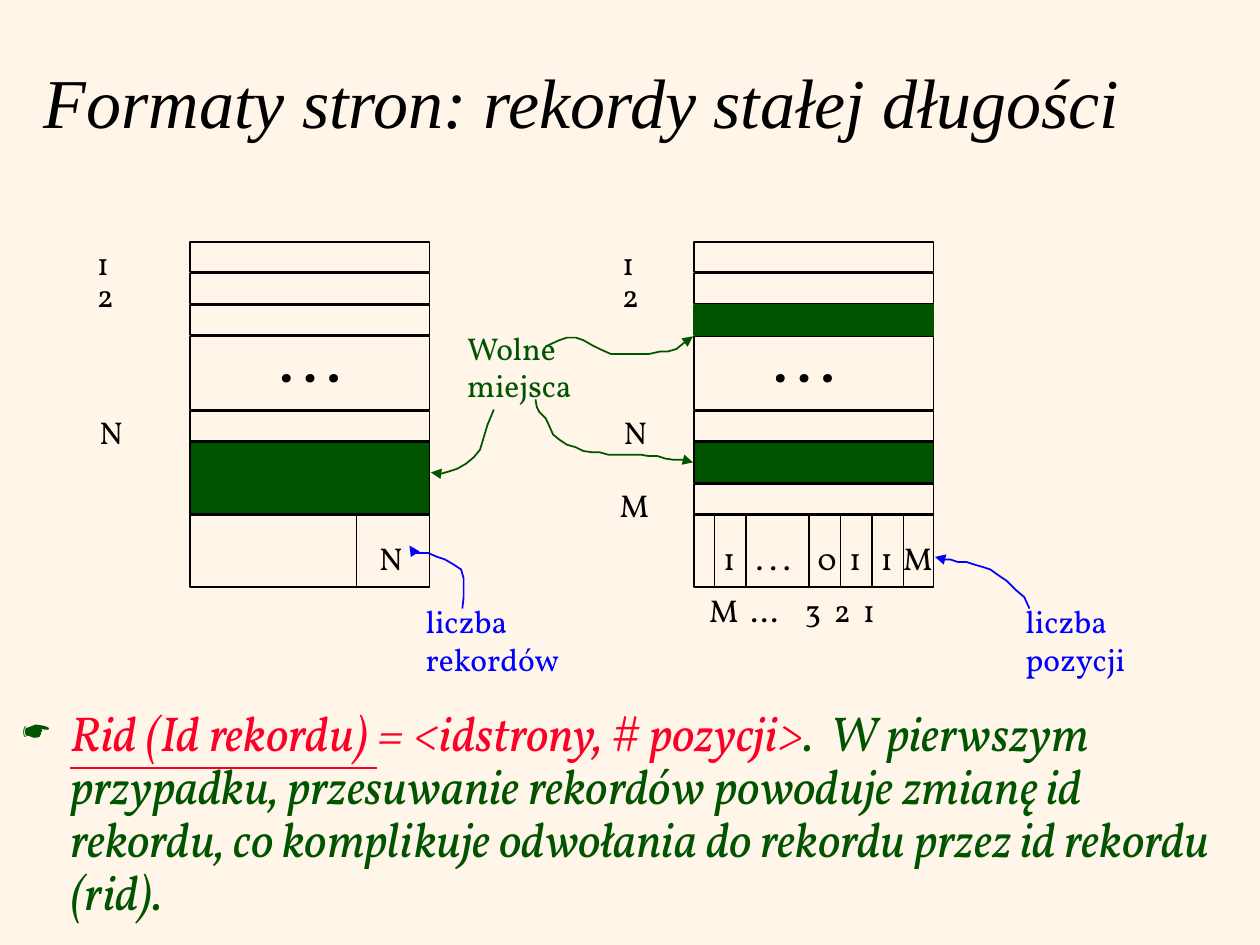
from lxml.etree import SubElement
from pptx import Presentation
from pptx.dml.color import RGBColor
from pptx.enum.shapes import MSO_CONNECTOR, MSO_SHAPE
from pptx.enum.text import MSO_ANCHOR, MSO_AUTO_SIZE
from pptx.oxml.ns import qn
from pptx.util import Inches, Pt

BLACK, GREEN, BLUE, RED, CREAM = "000000", "005400", "0000FF", "FC0128", "FFF6E9"
LABEL = {"size": Pt(18), "name": "Vollkorn"}
DOTS = {"size": Pt(28), "name": "Vollkorn", "bold": True}
TITLE = {"size": Pt(40), "name": "Times New Roman", "italic": True}
BODY = {"size": Pt(28), "name": "Vollkorn", "italic": True}

TITLE_TEXT = "Formaty stron: rekordy stałej długości"
BODY_SPANS = [
    ("Rid (Id rekordu) ", RED, True),
    ("= <idstrony, # pozycji>", RED, False),
    (".  W pierwszym przypadku, przesuwanie rekordów powoduje zmianę id rekordu, "
     "co komplikuje odwołania do rekordu przez id rekordu (rid).", GREEN, False),
]

PAGE_TOP, PAGE_WIDTH, ROW_GAP = 1.92, 1.9, 0.01
SLOT, TALL = 0.24, 0.57
UPPER_ROWS = [(SLOT, None, BLACK), (SLOT, None, BLACK)]
PACKED_ROWS = UPPER_ROWS + [
    (SLOT, None, BLACK), (0.58, None, BLACK), (SLOT, None, BLACK),
    (TALL, GREEN, BLACK), (TALL, None, BLACK)]
BITMAP_ROWS = UPPER_ROWS + [
    (SLOT, GREEN, GREEN), (0.58, None, BLACK), (SLOT, None, BLACK),
    (0.32, GREEN, BLACK), (SLOT, None, BLACK), (TALL, None, BLACK)]
PAGES = [
    (1.51, PACKED_ROWS, [2.83]),
    (5.51, BITMAP_ROWS, [5.67, 5.92, 6.42, 6.67, 6.92, 7.17]),
]
DIVIDER_TOP, DIVIDER_BOTTOM = 4.08, 4.67

LABEL_ROWS = {
    1.89: [("1", 0.67, 0.34), ("1", 4.84, 0.34)],
    2.14: [("2", 0.67, 0.34), ("2", 4.84, 0.34)],
    3.23: [("N", 0.69, 0.39), ("N", 4.85, 0.39)],
    3.81: [("M", 4.82, 0.43)],
    4.23: [("N", 2.91, 0.39), ("1", 5.64, 0.34), (". . .", 5.9, 0.52), ("0", 6.39, 0.34),
           ("1", 6.64, 0.34), ("1", 6.89, 0.34), ("M", 7.07, 0.43)],
}
SLOT_NUMBERS = ["M", "...", "3", "2", "1"]
SLOT_TABS = [0.33, 0.76, 0.99, 1.22]
CALLOUTS = [
    (["Wolne", "miejsca"], GREEN, 3.61, 2.56, 1.1),
    (["liczba", "rekordów"], BLUE, 3.28, 4.73, 1.37),
    (["liczba", "pozycji"], BLUE, 8.04, 4.73, 1.04),
]
ARROWS = [
    (GREEN, [(4.33, 2.75), (4.44, 2.7), (4.5, 2.68), (4.57, 2.68), (4.63, 2.7), (4.7, 2.74),
             (4.76, 2.77), (4.85, 2.81), (5.15, 2.81), (5.24, 2.79), (5.3, 2.79),
             (5.37, 2.77), (5.43, 2.72), (5.5, 2.68), (5.5, 2.67)]),
    (GREEN, [(4.25, 3.17), (4.26, 3.23), (4.28, 3.27), (4.33, 3.32), (4.35, 3.36),
             (4.39, 3.45), (4.44, 3.49), (4.5, 3.53), (4.57, 3.55), (4.63, 3.58),
             (4.7, 3.59), (4.76, 3.59), (4.83, 3.61), (5.09, 3.61), (5.15, 3.62),
             (5.22, 3.62), (5.28, 3.64), (5.35, 3.65), (5.48, 3.65), (5.5, 3.67)]),
    (GREEN, [(3.92, 3.25), (3.87, 3.37), (3.81, 3.57), (3.76, 3.63), (3.7, 3.68),
             (3.63, 3.72), (3.57, 3.74), (3.5, 3.76), (3.44, 3.76), (3.42, 3.75)]),
    (BLUE, [(3.67, 4.83), (3.68, 4.74), (3.68, 4.59), (3.66, 4.52), (3.6, 4.48),
            (3.53, 4.44), (3.47, 4.42), (3.4, 4.39), (3.27, 4.39), (3.25, 4.33)]),
    (BLUE, [(8.17, 4.83), (8.13, 4.74), (8.06, 4.68), (7.99, 4.61), (7.93, 4.57),
            (7.86, 4.52), (7.8, 4.5), (7.73, 4.48), (7.67, 4.46), (7.6, 4.46),
            (7.54, 4.44), (7.47, 4.44), (7.42, 4.42)]),
]


def color(value):
    return RGBColor.from_string(value)


def paint(shape, fill, line):
    shape.shadow.inherit = False
    if fill:
        shape.fill.solid()
        shape.fill.fore_color.rgb = color(fill)
    else:
        shape.fill.background()
    shape.line.color.rgb = color(line)
    shape.line.width = Pt(1)


def add_span(para, text, style, shade, **extra):
    span = para.add_run()
    span.text = text
    for key, value in {**style, **extra}.items():
        setattr(span.font, key, value)
    span.font.color.rgb = color(shade)


def add_box(page, left, top, width, height, wrap=True):
    box = page.shapes.add_textbox(*map(Inches, (left, top, width, height)))
    box.text_frame.word_wrap = wrap
    if not wrap:
        box.text_frame.auto_size = MSO_AUTO_SIZE.SHAPE_TO_FIT_TEXT
    return box.text_frame


def add_label(page, lines, left, top, width, height=0.4, style=LABEL, shade=BLACK):
    frame = add_box(page, left, top, width, height, wrap=False)
    for index, text in enumerate(lines):
        para = frame.add_paragraph() if index else frame.paragraphs[0]
        add_span(para, text, style, shade)
    return frame


def add_page_diagram(page, left, rows, dividers):
    top = PAGE_TOP
    for height, fill, line in rows:
        row = page.shapes.add_shape(
            MSO_SHAPE.RECTANGLE, *map(Inches, (left, top, PAGE_WIDTH, height)))
        paint(row, fill, line)
        top += height + ROW_GAP
    for x in dividers:
        divider = page.shapes.add_connector(
            MSO_CONNECTOR.STRAIGHT, *map(Inches, (x, DIVIDER_TOP, x, DIVIDER_BOTTOM)))
        divider.line.color.rgb = color(BLACK)
        divider.line.width = Pt(1)
        SubElement(divider._element.spPr, qn("a:effectLst"))


def add_arrow(page, shade, points):
    start, *bends = [(Inches(x), Inches(y)) for x, y in points]
    builder = page.shapes.build_freeform(*start)
    builder.add_line_segments(bends, close=False)
    arrow = builder.convert_to_shape()
    paint(arrow, None, shade)
    SubElement(arrow.line._get_or_add_ln(), qn("a:tailEnd"), type="triangle")


def add_body(page):
    para = add_box(page, 0.08, 5.58, 9.75, 1.83).paragraphs[0]
    para.line_spacing = 0.9
    para.space_before = Pt(7)
    for text, shade, underline in BODY_SPANS:
        add_span(para, text, BODY, shade, underline=underline)
    props = para._p.get_or_add_pPr()
    props.set("marL", str(Inches(0.38)))
    props.set("indent", str(Inches(-0.38)))
    SubElement(SubElement(props, qn("a:buClr")), qn("a:srgbClr"), val=GREEN)
    SubElement(props, qn("a:buSzPct"), val="75000")
    SubElement(props, qn("a:buChar"), char="☛")


def add_slot_numbers(page):
    frame = add_label(page, ["\t".join(SLOT_NUMBERS)], 5.53, 4.64, 1.69)
    tabs = SubElement(frame.paragraphs[0]._p.get_or_add_pPr(), qn("a:tabLst"))
    for stop in SLOT_TABS:
        SubElement(tabs, qn("a:tab"), pos=str(Inches(stop)), algn="l")


def main():
    deck = Presentation()
    deck.slide_width, deck.slide_height = Inches(10), Inches(7.5)
    page = deck.slides.add_slide(deck.slide_layouts[6])
    page.background.fill.solid()
    page.background.fill.fore_color.rgb = color(CREAM)

    title = add_box(page, 0.25, 0.17, 9, 1.25)
    title.vertical_anchor = MSO_ANCHOR.MIDDLE
    add_span(title.paragraphs[0], TITLE_TEXT, TITLE, BLACK)
    add_body(page)

    for left, rows, dividers in PAGES:
        add_page_diagram(page, left, rows, dividers)
    for top, labels in LABEL_ROWS.items():
        for text, left, width in labels:
            add_label(page, [text], left, top, width)
    for left in (2.12, 6.04):
        add_label(page, [". . ."], left, 2.6, 0.74, 0.56, DOTS)
    add_slot_numbers(page)
    for lines, shade, left, top, width in CALLOUTS:
        add_label(page, lines, left, top, width, 0.7, shade=shade)
    for shade, points in ARROWS:
        add_arrow(page, shade, points)
    deck.save("out.pptx")


if __name__ == "__main__":
    main()
